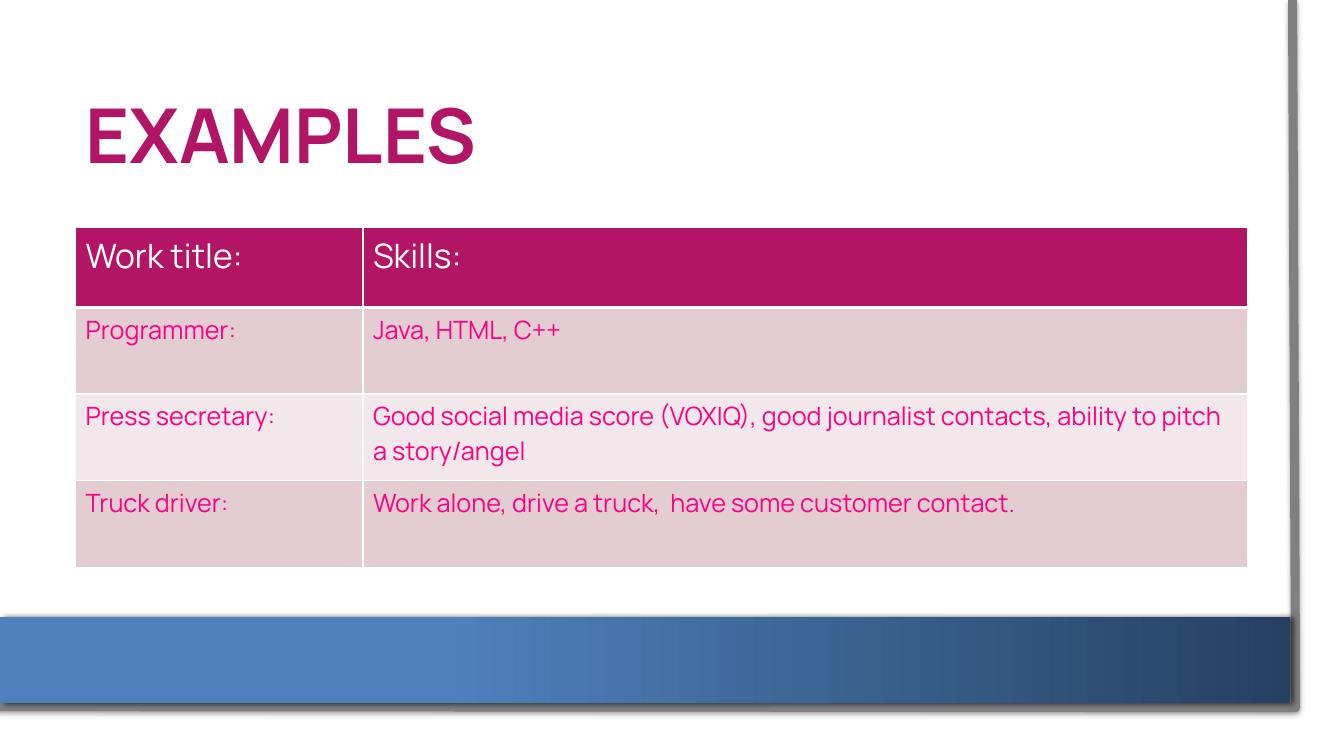
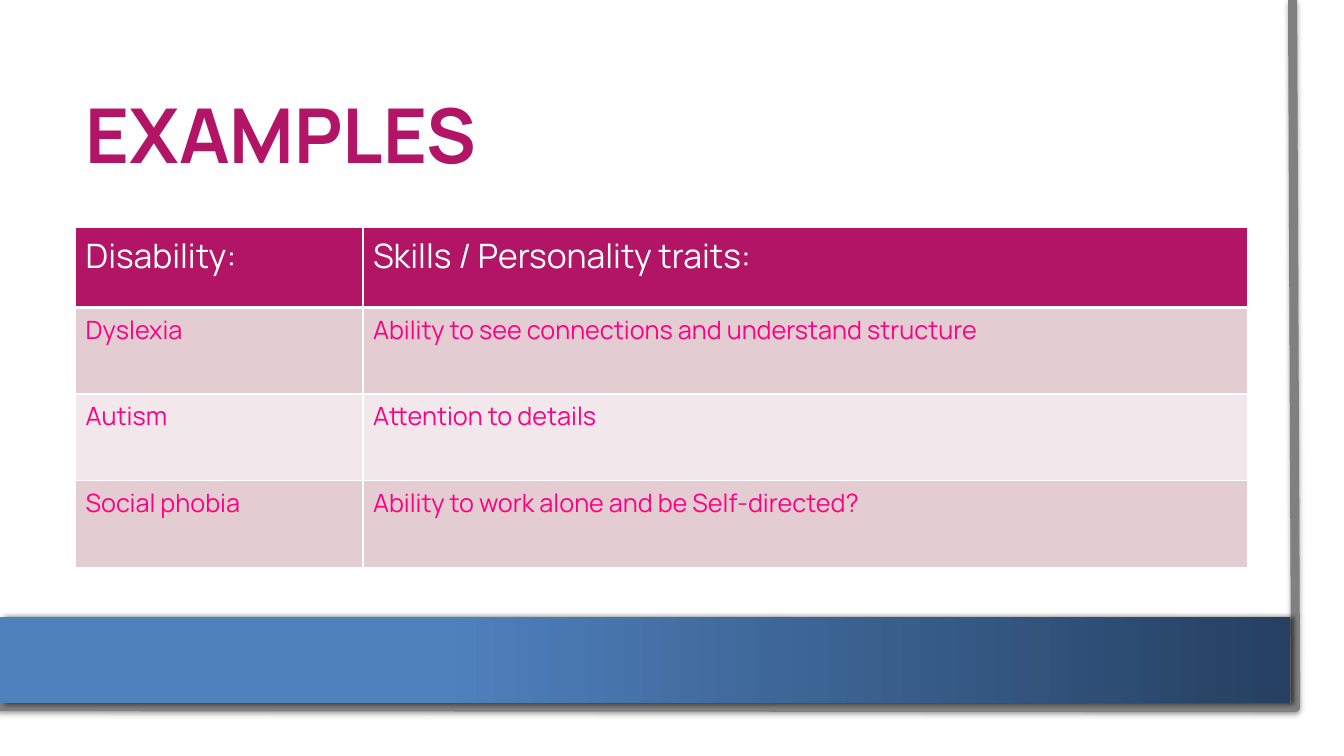
"""Build two example slides, each with a title, a table and a shared band."""
import pptx
import pptx.dml.color
import pptx.enum.shapes
import pptx.enum.text
import pptx.oxml
import pptx.oxml.ns
import pptx.util
from pptx.util import Inches, Pt

COLORS = {
    "title": "B21565", "body": "FF0081", "white": "FFFFFF", "frame": "808080",
    "odd": "E4CCD3", "even": "F2E7EA", "band": "4F81BD", "band_end": "254061",
}
FONT = "Manrope"
SLIDES = [
    ("EXAMPLES", [
        ("Work title:", "Skills:"),
        ("Programmer:", "Java, HTML, C++"),
        ("Press secretary:", "Good social media score (VOXIQ), good journalist contacts, "
                             "ability to pitch a story/angel"),
        ("Truck driver:", "Work alone, drive a truck,  have some customer contact."),
    ]),
    ("EXAMPLES", [
        ("Disability:", "Skills / Personality traits:"),
        ("Dyslexia", "Ability to see connections and understand structure"),
        ("Autism", "Attention to details"),
        ("Social phobia", "Ability to work alone and be Self-directed?"),
    ]),
]
FRAME = [(12.82, 0), (12.85, 7.02), (-0.03, 7.01)]
COLUMNS = (2.85, 8.77)
HEAD_HEIGHT, ROW_HEIGHT = 0.79, 0.86
THIN, THICK = 0.96, 3


def rgb(name):
    return pptx.dml.color.RGBColor.from_string(COLORS[name])


def write(tf, text, size, color, bold=False, spacing=None):
    p = tf.paragraphs[0]
    p.line_spacing = spacing
    r = p.add_run()
    r.text = text
    r.font.name, r.font.size, r.font.bold = FONT, Pt(size), bold
    r.font.color.rgb = rgb(color)


def add_shadow(sp, alpha, blur, dist, angle):
    sp.shadow.inherit = False
    effects = sp._element.spPr.find(pptx.oxml.ns.qn("a:effectLst"))
    effects.append(pptx.oxml.parse_xml(
        f'<a:outerShdw {pptx.oxml.ns.nsdecls("a")} blurRad="{Pt(blur)}" dist="{Pt(dist)}" '
        f'dir="{angle * 60000}" algn="ctr" rotWithShape="0"><a:srgbClr val="000000">'
        f'<a:alpha val="{alpha * 1000}"/></a:srgbClr></a:outerShdw>'))


def add_frame(s):
    points = [(Inches(x), Inches(y)) for x, y in FRAME]
    builder = s.shapes.build_freeform(*points[0])
    builder.add_line_segments(points[1:], close=False)
    sp = builder.convert_to_shape()
    sp.fill.background()
    sp.line.color.rgb = rgb("frame")
    sp.line.width = Pt(6.5)
    add_shadow(sp, 38, 3.1, 1.6, 90)


def add_band(s):
    sp = s.shapes.add_shape(pptx.enum.shapes.MSO_SHAPE.RECTANGLE,
                            0, Inches(6.12), Inches(12.8), Inches(0.85))
    sp.line.fill.background()
    sp.fill.gradient()
    sp.fill.gradient_angle = 0
    for stop, (position, color) in zip(sp.fill.gradient_stops,
                                       [(0.34, "band"), (1, "band_end")]):
        stop.position = position
        stop.color.rgb = rgb(color)
    add_shadow(sp, 60, 4, 2, 0)


def add_title(s, text):
    tf = s.shapes.add_textbox(Inches(0.75), Inches(0.75),
                              Inches(11.37), Inches(1.26)).text_frame
    tf.word_wrap = True
    tf.vertical_anchor = pptx.enum.text.MSO_ANCHOR.MIDDLE
    write(tf, text, 54, "title", bold=True, spacing=0.9)


def set_borders(cell, top, bottom):
    tcPr = cell._tc.get_or_add_tcPr()
    for side, width in zip("LRTB", (THIN, THIN, top, bottom)):
        tcPr.append(pptx.oxml.parse_xml(
            f'<a:ln{side} {pptx.oxml.ns.nsdecls("a")} w="{Pt(width)}"><a:solidFill>'
            f'<a:srgbClr val="{COLORS["white"]}"/></a:solidFill></a:ln{side}>'))


def add_table(s, rows):
    heights = [HEAD_HEIGHT] + [ROW_HEIGHT] * (len(rows) - 1)
    table = s.shapes.add_table(len(rows), len(COLUMNS), Inches(0.75), Inches(2.26),
                               Inches(sum(COLUMNS)), Inches(sum(heights))).table
    for column, width in zip(table.columns, COLUMNS):
        column.width = Inches(width)
    for i, texts in enumerate(rows):
        table.rows[i].height = Inches(heights[i])
        fill = "title" if i == 0 else "odd" if i % 2 else "even"
        size, color = (24, "white") if i == 0 else (18, "body")
        for j, text in enumerate(texts):
            cell = table.cell(i, j)
            set_borders(cell, THICK if i == 1 else THIN, THICK if i == 0 else THIN)
            cell.fill.solid()
            cell.fill.fore_color.rgb = rgb(fill)
            write(cell.text_frame, text, size, color)


def main():
    prs = pptx.Presentation()
    prs.slide_width, prs.slide_height = Inches(13.33), Inches(7.5)
    for title, rows in SLIDES:
        s = prs.slides.add_slide(prs.slide_layouts[6])
        add_frame(s)
        add_band(s)
        add_title(s, title)
        add_table(s, rows)
    prs.save("out.pptx")


if __name__ == "__main__":
    main()
